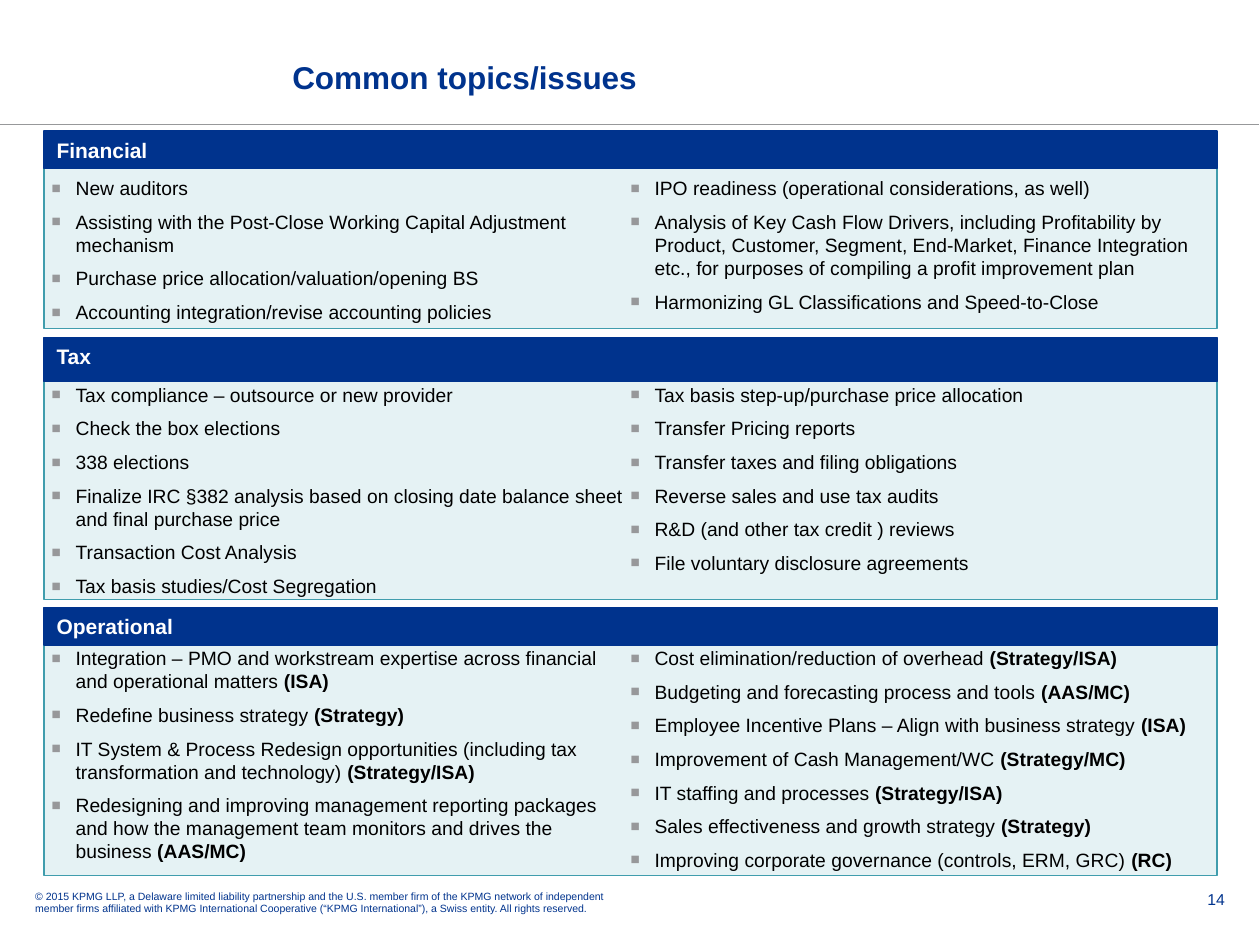
from lxml import etree
from pptx import Presentation
from pptx.dml.color import RGBColor
from pptx.enum.shapes import MSO_CONNECTOR, MSO_SHAPE
from pptx.enum.text import MSO_ANCHOR, PP_ALIGN
from pptx.oxml.ns import qn
from pptx.util import Inches, Pt

RECT = MSO_SHAPE.RECTANGLE
LINE = MSO_CONNECTOR.STRAIGHT
TOP, BOTTOM = MSO_ANCHOR.TOP, MSO_ANCHOR.BOTTOM
LEFT, RIGHT = PP_ALIGN.LEFT, PP_ALIGN.RIGHT

FONT = "Arial"
COLORS = {"navy": "00338D", "pale": "E5F2F4", "teal": "409DAD",
          "gray": "97989A", "black": "000000", "white": "FFFFFF"}

EDGE, WIDTH, PAD, HANG = 0.35, 9.31, 0.06, 0.19
HALF = (WIDTH - 2 * PAD) / 2

# Heading, its top and height, panel top and height, left items, right items.
# A bar in an item sets off the bold team name.
TOPICS = [
    ("Financial", 1.04, 0.3, 1.34, 1.27,
     ["New auditors",
      "Assisting with the Post-Close Working Capital Adjustment mechanism",
      "Purchase price allocation/valuation/opening BS",
      "Accounting integration/revise accounting policies"],
     ["IPO readiness (operational considerations, as well)",
      "Analysis of Key Cash Flow Drivers, including Profitability by Product, "
      "Customer, Segment, End-Market, Finance Integration etc., for purposes "
      "of compiling a profit improvement plan",
      "Harmonizing GL Classifications and Speed-to-Close"]),
    ("Tax", 2.68, 0.35, 2.98, 1.78,
     ["Tax compliance – outsource or new provider",
      "Check the box elections",
      "338 elections",
      "Finalize IRC §382 analysis based on closing date balance sheet "
      "and final purchase price",
      "Transaction Cost Analysis",
      "Tax basis studies/Cost Segregation"],
     ["Tax basis step-up/purchase price allocation",
      "Transfer Pricing reports",
      "Transfer taxes and filing obligations",
      "Reverse sales and use tax audits",
      "R&D (and other tax credit ) reviews",
      "File voluntary disclosure agreements"]),
    ("Operational", 4.82, 0.3, 5.07, 1.88,
     ["Integration – PMO and workstream expertise across financial and "
      "operational matters |(ISA)",
      "Redefine business strategy |(Strategy)",
      "IT System & Process Redesign opportunities (including tax "
      "transformation and technology) |(Strategy/ISA)",
      "Redesigning and improving management reporting packages and how the "
      "management team monitors and drives the business |(AAS/MC)"],
     ["Cost elimination/reduction of overhead |(Strategy/ISA)",
      "Budgeting and forecasting process and tools |(AAS/MC)",
      "Employee Incentive Plans – Align with business strategy |(ISA)",
      "Improvement of Cash Management/WC |(Strategy/MC)",
      "IT staffing and processes |(Strategy/ISA)",
      "Sales effectiveness and growth strategy |(Strategy)",
      "Improving corporate governance (controls, ERM, GRC) |(RC)"]),
]


def rgb(name):
    return RGBColor.from_string(COLORS[name])


def style(run, size, color, bold=False):
    font = run.font
    font.name, font.size, font.bold = FONT, Pt(size), bold
    font.color.rgb = rgb(color)


def set_frame(shape, left, top, right, bottom, anchor=TOP):
    frame = shape.text_frame
    frame.word_wrap = True
    frame.vertical_anchor = anchor
    frame.margin_left, frame.margin_top = Inches(left), Inches(top)
    frame.margin_right, frame.margin_bottom = Inches(right), Inches(bottom)
    return frame


def set_text(frame, text, size, color, bold=False, align=LEFT):
    frame.text = text
    para = frame.paragraphs[0]
    para.alignment = align
    style(para.runs[0], size, color, bold)


def add_box(slide, x, y, w, h):
    return slide.shapes.add_textbox(Inches(x), Inches(y), Inches(w), Inches(h))


def add_rect(slide, y, h, fill, edge):
    """Draw a full-width bar or panel."""
    rect = slide.shapes.add_shape(
        RECT, Inches(EDGE), Inches(y), Inches(WIDTH), Inches(h))
    rect.shadow.inherit = False
    rect.fill.solid()
    rect.fill.fore_color.rgb = rgb(fill)
    rect.line.color.rgb = rgb(edge)
    rect.line.width = Pt(0.75)
    return rect


def add_bullet(para):
    props = para._p.get_or_add_pPr()
    props.set("marL", str(Inches(HANG)))
    props.set("indent", str(-Inches(HANG)))
    tint = etree.SubElement(props, qn("a:buClr"))
    etree.SubElement(tint, qn("a:srgbClr"), val=COLORS["gray"])
    etree.SubElement(props, qn("a:buSzPct"), val="80000")
    etree.SubElement(props, qn("a:buFont"), typeface=FONT)
    etree.SubElement(props, qn("a:buChar"), char="■")


def fill_list(frame, items):
    for i, item in enumerate(items):
        para = frame.add_paragraph() if i else frame.paragraphs[0]
        add_bullet(para)
        para.alignment = LEFT
        if i:
            para.space_before = Pt(6)
        for j, part in enumerate(item.split("|")):
            run = para.add_run()
            run.text = part
            style(run, 11, "black", bold=j > 0)


def add_topic(slide, name, bar_y, bar_h, y, h, left, right):
    panel = add_rect(slide, y, h, "pale", "teal")
    fill_list(set_frame(panel, PAD, PAD, PAD + HALF, PAD), left)
    column = add_box(slide, EDGE + PAD + HALF, y, HALF + PAD, h)
    fill_list(set_frame(column, 0, PAD, PAD, PAD), right)
    bar = add_rect(slide, bar_y, bar_h, "navy", "navy")
    set_text(set_frame(bar, 0.1, 0.05, 0.1, 0.05), name, 12, "white", True)


def add_rule(slide):
    y = Inches(0.99)
    rule = slide.shapes.add_connector(LINE, 0, y, Inches(9.99), y)
    rule.line.color.rgb = rgb("gray")
    rule.line.width = Pt(0.5)
    etree.SubElement(rule._element.spPr, qn("a:effectLst"))


def main():
    deck = Presentation()
    deck.slide_width, deck.slide_height = Inches(10), Inches(7.5)
    slide = deck.slides.add_slide(deck.slide_layouts[6])

    number = add_box(slide, 9.17, 6.98, 0.55, 0.31)
    set_text(set_frame(number, 0.08, 0.08, 0, 0), "14", 9, "navy", align=RIGHT)
    add_rule(slide)
    notice = add_box(slide, 0.28, 6.98, 4.66, 0.28)
    set_text(set_frame(notice, 0, 0.08, 0, 0),
             "© 2015 KPMG LLP, a Delaware limited liability partnership and "
             "the U.S. member firm of the KPMG network of independent member "
             "firms affiliated with KPMG International Cooperative (“KPMG "
             "International”), a Swiss entity. All rights reserved.",
             6, "navy")
    title = add_box(slide, 2.32, 0.13, 7.4, 0.63)
    set_text(set_frame(title, 0, 0, 0, 0, BOTTOM),
             "Common topics/issues", 18, "navy", True)

    for topic in reversed(TOPICS):
        add_topic(slide, *topic)
    deck.save("out.pptx")


if __name__ == "__main__":
    main()
